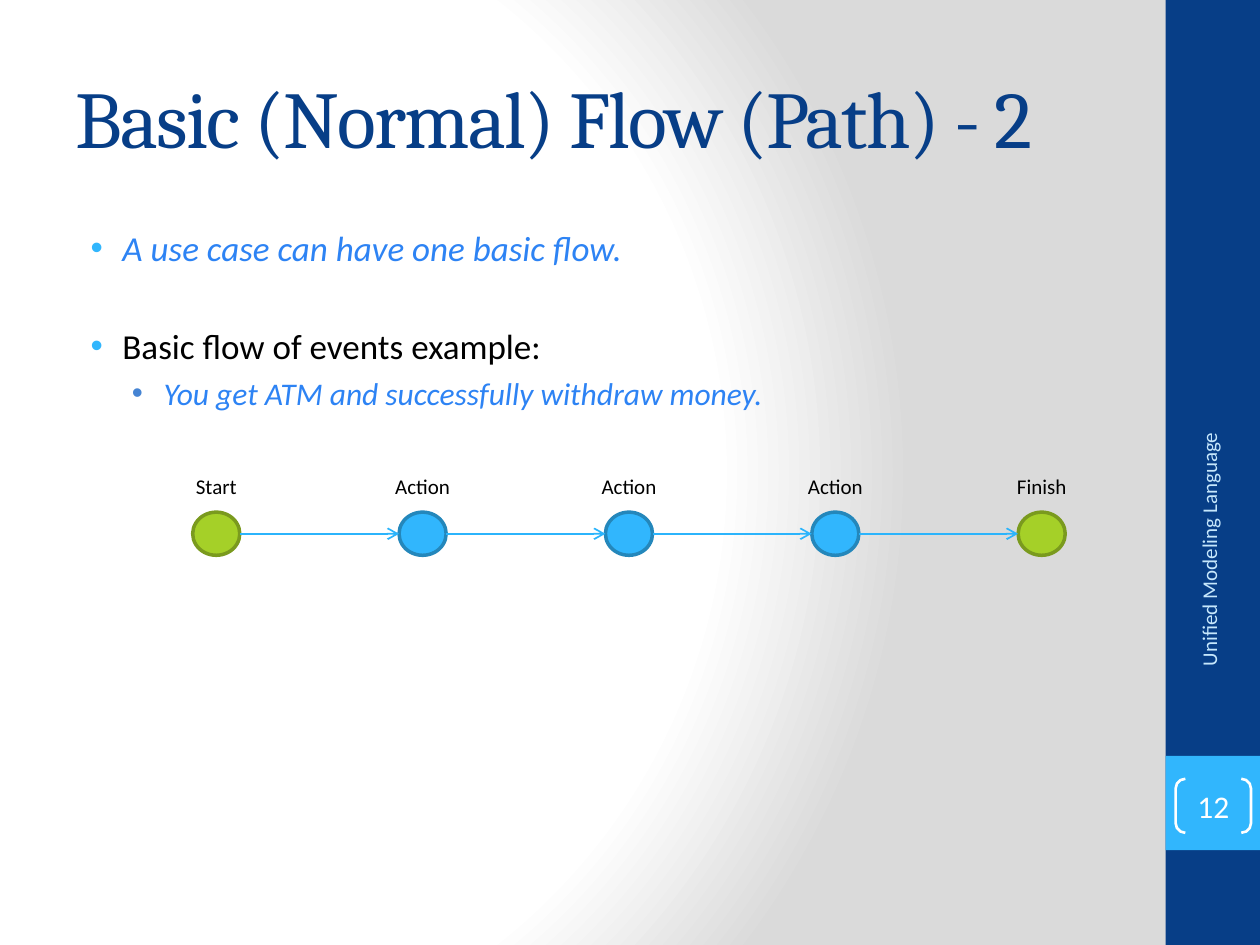
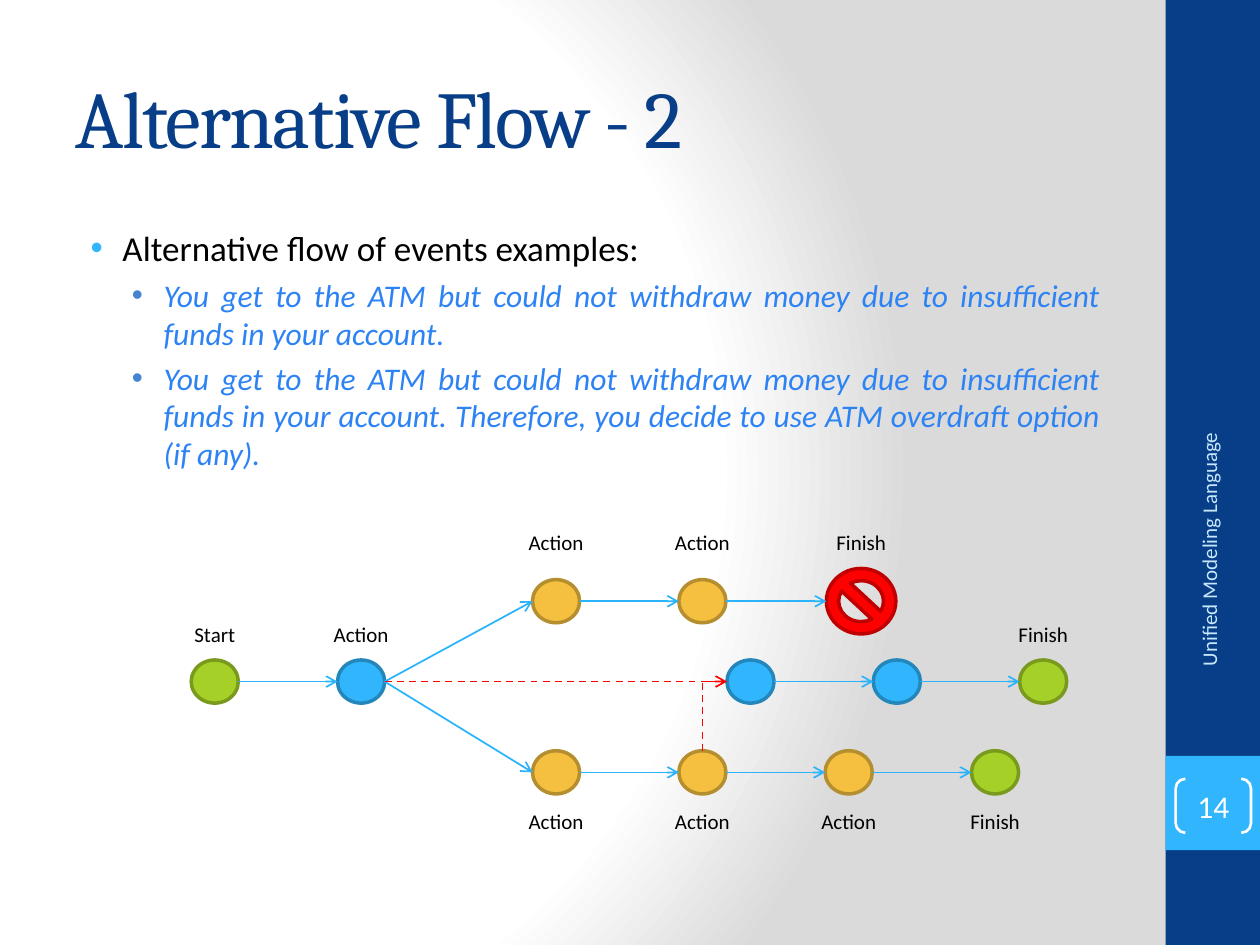
import pptx
import pptx.util
import pptx.dml.color
import pptx.enum.dml
import pptx.enum.shapes
import pptx.enum.text
import pptx.oxml
import pptx.oxml.ns
from lxml import etree

Cm, Pt = pptx.util.Cm, pptx.util.Pt
SHAPE = pptx.enum.shapes.MSO_SHAPE
CONNECTOR = pptx.enum.shapes.MSO_CONNECTOR
ALIGN = pptx.enum.text.PP_ALIGN
ANCHOR = pptx.enum.text.MSO_ANCHOR
qn = pptx.oxml.ns.qn

# Shared look
NAVY, SKY, BLUE, WHITE, BLACK = "073E87", "31B6FD", "2D83F4", "FFFFFF", "000000"
ARROW, RED = "2BB4FC", "FF0000"
FOOTER = "Unified Modeling Language"
BACKGROUND = [(0, WHITE), (75, WHITE), (100, "DADADA")]

# Bullet levels: size in points, left indent in cm, bullet colour
LEVELS = [(20, 0.95, SKY), (18, 1.78, "4584D3")]
HANGING = 0.64

# Kinds of node: preset, width, height, fill, outline
CIRCLE = (SHAPE.OVAL, 0.95, 0.87)
KINDS = {
    "end": (*CIRCLE, "A5D028", "7A9A1E"),
    "basic": (*CIRCLE, SKY, "2487BB"),
    "alternative": (*CIRCLE, "F5C040", "B58E2F"),
    "stopped": (SHAPE.NO_SYMBOL, 1.4, 1.32, RED, "C00000"),
}

# Label distance from the node centre, in cm
ABOVE, HIGH_ABOVE, BELOW = -0.95, -1.2, 0.98

# Rows of nodes: left centre, centre height, step, label offset, [(name, kind, label)]
BASIC_ROWS = [
    (4.36, 10.76, 4.16, ABOVE, [
        ("start", "end", "Start"), ("action 1", "basic", "Action"),
        ("action 2", "basic", "Action"), ("action 3", "basic", "Action"),
        ("finish", "end", "Finish")]),
]
ALTERNATIVE_ROWS = [
    (4.33, 13.74, 2.95, ABOVE, [
        ("start", "end", "Start"), ("choice", "basic", "Action")]),
    (11.21, 12.12, 2.95, HIGH_ABOVE, [
        ("refused 1", "alternative", "Action"), ("refused 2", "alternative", "Action")]),
    (17.36, 12.12, 0, HIGH_ABOVE, [("refused end", "stopped", "Finish")]),
    (15.13, 13.74, 2.95, ABOVE, [
        ("normal 1", "basic", ""), ("normal 2", "basic", ""), ("normal end", "end", "Finish")]),
    (11.21, 15.57, 2.95, BELOW, [
        ("overdraft 1", "alternative", "Action"), ("overdraft 2", "alternative", "Action"),
        ("overdraft 3", "alternative", "Action"), ("overdraft end", "end", "Finish")]),
]

# Bullets: level, text, emphasised, space before in points
SLIDES = [
    {
        "title": "Basic (Normal) Flow (Path) - 2",
        "number": "12",
        "bullets": [
            (0, "A use case can have one basic flow.", True, 4),
            (0, "Basic flow of events example:", False, 32),
            (1, "You get ATM and successfully withdraw money.", True, 4),
        ],
        "rows": BASIC_ROWS,
        "flows": [["start", "action 1", "action 2", "action 3", "finish"]],
    },
    {
        "title": "Alternative Flow - 2",
        "number": "14",
        "bullets": [
            (0, "Alternative flow of events examples:", False, 4),
            (1, "You get to the ATM but could not withdraw money due to insufficient "
                "funds in your account.", True, 4),
            (1, "You get to the ATM but could not withdraw money due to insufficient "
                "funds in your account. Therefore, you decide to use ATM overdraft "
                "option (if any).", True, 4),
        ],
        "rows": ALTERNATIVE_ROWS,
        "flows": [
            ["start", "choice", "refused 1", "refused 2", "refused end"],
            ["choice", "overdraft 1", "overdraft 2", "overdraft 3", "overdraft end"],
            ["normal 1", "normal 2", "normal end"],
        ],
        "skipped": ("choice", "normal 1"),
        "rejoin": ("overdraft 2", "normal 1"),
    },
]


def rgb(value):
    return pptx.dml.color.RGBColor.from_string(value)


def write(frame, text, size=12, color=BLACK, font="Calibri", align=ALIGN.CENTER,
          italic=False, before=0):
    """Add one formatted paragraph, using the first one while the frame is empty."""
    paragraph = frame.add_paragraph() if frame.text else frame.paragraphs[0]
    paragraph.alignment = align
    paragraph.space_before = Pt(before)
    run = paragraph.add_run()
    run.text = text
    run.font.size, run.font.name, run.font.italic = Pt(size), font, italic
    run.font.color.rgb = rgb(color)
    return paragraph


def add_box(shapes, left, top, width, height, anchor=ANCHOR.MIDDLE, wrap=True):
    box = shapes.add_textbox(Cm(left), Cm(top), Cm(width), Cm(height))
    box.text_frame.word_wrap = wrap
    box.text_frame.vertical_anchor = anchor
    return box


def add_figure(shapes, preset, left, top, width, height, fill=None, line=None, weight=2):
    figure = shapes.add_shape(preset, Cm(left), Cm(top), Cm(width), Cm(height))
    figure.shadow.inherit = False
    if fill:
        figure.fill.solid()
        figure.fill.fore_color.rgb = rgb(fill)
    else:
        figure.fill.background()
    if line:
        figure.line.color.rgb = rgb(line)
        figure.line.width = Pt(weight)
    else:
        figure.line.fill.background()
    return figure


def add_line(shapes, begin, end, color=ARROW, kind=CONNECTOR.STRAIGHT, dashed=False, arrow=True):
    line = shapes.add_connector(kind, *(Cm(value) for value in (*begin, *end)))
    line.line.color.rgb = rgb(color)
    line.line.width = Pt(1)
    if dashed:
        line.line.dash_style = pptx.enum.dml.MSO_LINE.DASH
    properties = line.element.spPr
    if arrow:
        etree.SubElement(properties.find(qn("a:ln")), qn("a:tailEnd"), type="arrow")
    etree.SubElement(properties, qn("a:effectLst"))
    return line


def add_elbow(shapes, begin, end):
    """Arrow that goes straight up and then turns right: a quarter-turned elbow."""
    run, rise = end[0] - begin[0], begin[1] - end[1]
    x, y = (begin[0] + end[0]) / 2, (begin[1] + end[1]) / 2
    elbow = add_line(shapes, (x + rise / 2, y + run / 2), (x - rise / 2, y - run / 2),
                     RED, CONNECTOR.ELBOW, dashed=True)
    properties = elbow.element.spPr
    properties.find(qn("a:prstGeom")).set("prst", "bentConnector2")
    properties.find(qn("a:xfrm")).set("rot", "5400000")


def set_background(slide):
    slide.background.fill.gradient()
    plain = slide.element.find(".//" + qn("a:gradFill"))
    stops = "".join(f'<a:gs pos="{place * 1000}"><a:srgbClr val="{color}"/></a:gs>'
                    for place, color in BACKGROUND)
    radial = pptx.oxml.parse_xml(
        f'<a:gradFill {pptx.oxml.ns.nsdecls("a")} rotWithShape="1"><a:gsLst>{stops}</a:gsLst>'
        '<a:path path="circle"><a:fillToRect l="20000" t="50000" r="100000" b="50000"/>'
        '</a:path></a:gradFill>')
    plain.getparent().replace(plain, radial)


def add_frame(slide, number):
    """Side band, footer and slide number."""
    add_figure(slide.shapes, SHAPE.RECTANGLE, 23.5, 0, 1.9, 19.05, NAVY)
    add_figure(slide.shapes, SHAPE.RECTANGLE, 23.5, 15.24, 1.9, 1.9, SKY)
    footer = add_box(slide.shapes, 21.08, 11.25, 6.58, 1.02)
    footer.rotation = 270
    write(footer.text_frame, FOOTER, color="C6E7FC", align=ALIGN.RIGHT)
    brackets = add_figure(slide.shapes, SHAPE.DOUBLE_BRACKET, 23.7, 15.7, 1.52, 1.09,
                          line=WHITE, weight=1.5)
    brackets.adjustments[0] = 0.18
    frame = brackets.text_frame
    frame.margin_left = frame.margin_right = frame.margin_top = frame.margin_bottom = 0
    frame.vertical_anchor = ANCHOR.MIDDLE
    write(frame, number, size=18, color=WHITE)


def set_title(slide, text):
    title = slide.shapes.title
    title.left, title.top, title.width, title.height = Cm(1.27), Cm(0.76), Cm(21.16), Cm(3.18)
    title.text_frame.auto_size = pptx.enum.text.MSO_AUTO_SIZE.NONE
    title.text_frame.vertical_anchor = ANCHOR.MIDDLE
    heading = write(title.text_frame, text, size=46, color=NAVY, font="Cambria", align=ALIGN.LEFT)
    heading.runs[0].font._element.set("spc", "-100")


def add_bullets(slide, bullets):
    body = add_box(slide.shapes, 1.27, 4.45, 21.16, 13.34, ANCHOR.TOP)
    for level, text, emphasised, before in bullets:
        size, indent, bullet_color = LEVELS[level]
        bullet = write(body.text_frame, text, size=size, color=BLUE if emphasised else BLACK,
                       align=ALIGN.JUSTIFY, italic=emphasised, before=before)
        bullet.level = level
        properties = bullet._p.get_or_add_pPr()
        properties.set("marL", str(Cm(indent)))
        properties.set("indent", str(-Cm(HANGING)))
        color = etree.SubElement(properties, qn("a:buClr"))
        etree.SubElement(color, qn("a:srgbClr"), val=bullet_color)
        etree.SubElement(properties, qn("a:buFont"), typeface="Arial")
        etree.SubElement(properties, qn("a:buChar"), char="•")


def add_diagram(slide, content):
    shapes = slide.shapes.add_group_shape().shapes
    nodes = {}

    # Nodes and their labels
    for first_x, y, step, label_offset, row in content["rows"]:
        for column, (name, kind, label) in enumerate(row):
            x = first_x + column * step
            preset, width, height, fill, line = KINDS[kind]
            nodes[name] = {"left": (x - width / 2, y), "right": (x + width / 2, y),
                           "top": (x, y - height / 2)}
            add_figure(shapes, preset, x - width / 2, y - height / 2, width, height, fill, line)
            if label:
                box = add_box(shapes, x - 0.83, y + label_offset - 0.38, 1.66, 0.76, wrap=False)
                write(box.text_frame, label)

    # Arrows along each flow
    for flow in content["flows"]:
        for source, target in zip(flow, flow[1:]):
            add_line(shapes, nodes[source]["right"], nodes[target]["left"])

    # Dashed normal path and the way back to it
    if "skipped" in content:
        source, target = content["skipped"]
        add_line(shapes, nodes[source]["right"], nodes[target]["left"], RED,
                 dashed=True, arrow=False)
        source, target = content["rejoin"]
        add_elbow(shapes, nodes[source]["top"], nodes[target]["left"])


def main():
    deck = pptx.Presentation()
    deck.slide_width, deck.slide_height = Cm(25.4), Cm(19.05)
    for content in SLIDES:
        slide = deck.slides.add_slide(deck.slide_layouts[5])
        set_background(slide)
        add_frame(slide, content["number"])
        set_title(slide, content["title"])
        add_bullets(slide, content["bullets"])
        add_diagram(slide, content)
    deck.save("out.pptx")


if __name__ == "__main__":
    main()
